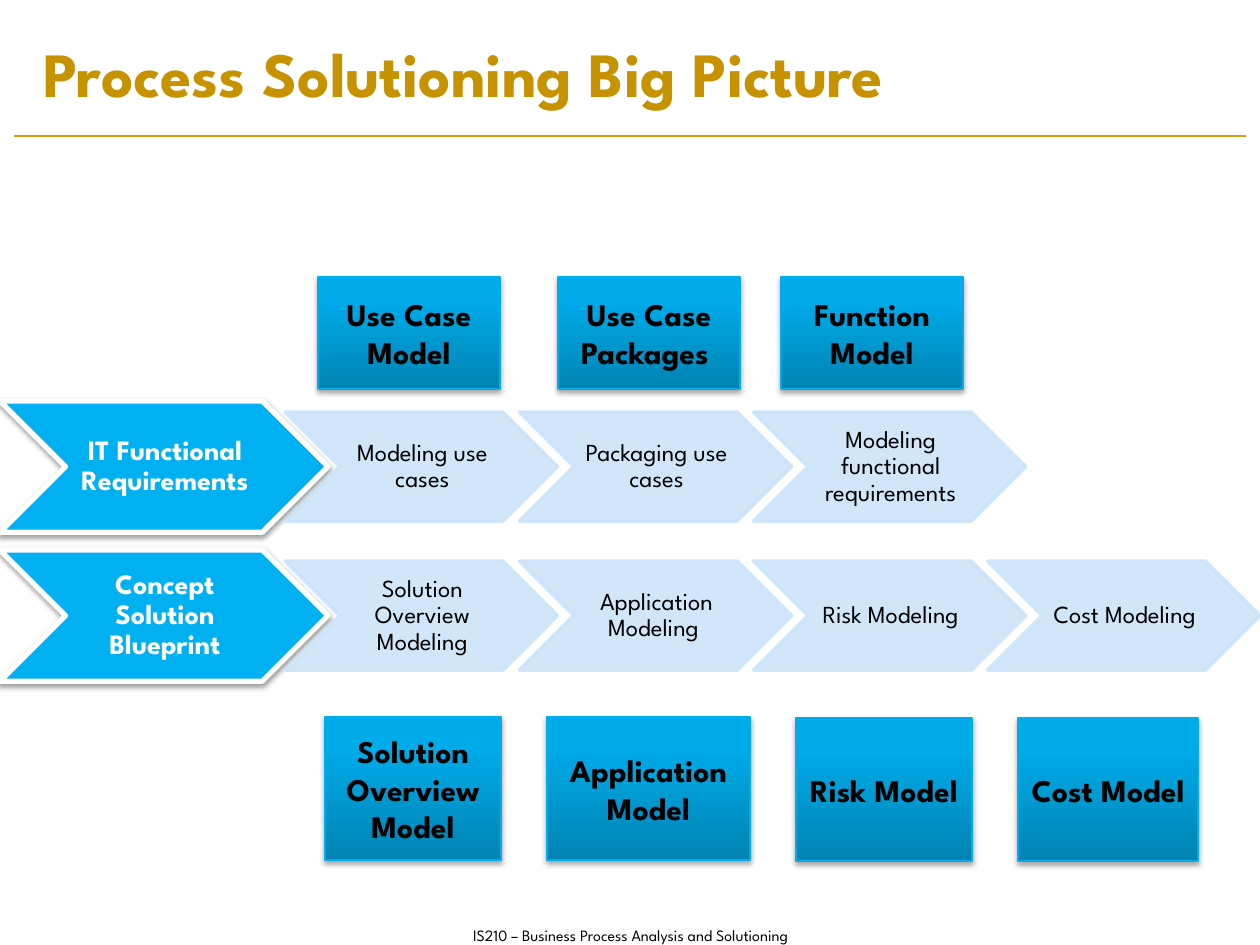
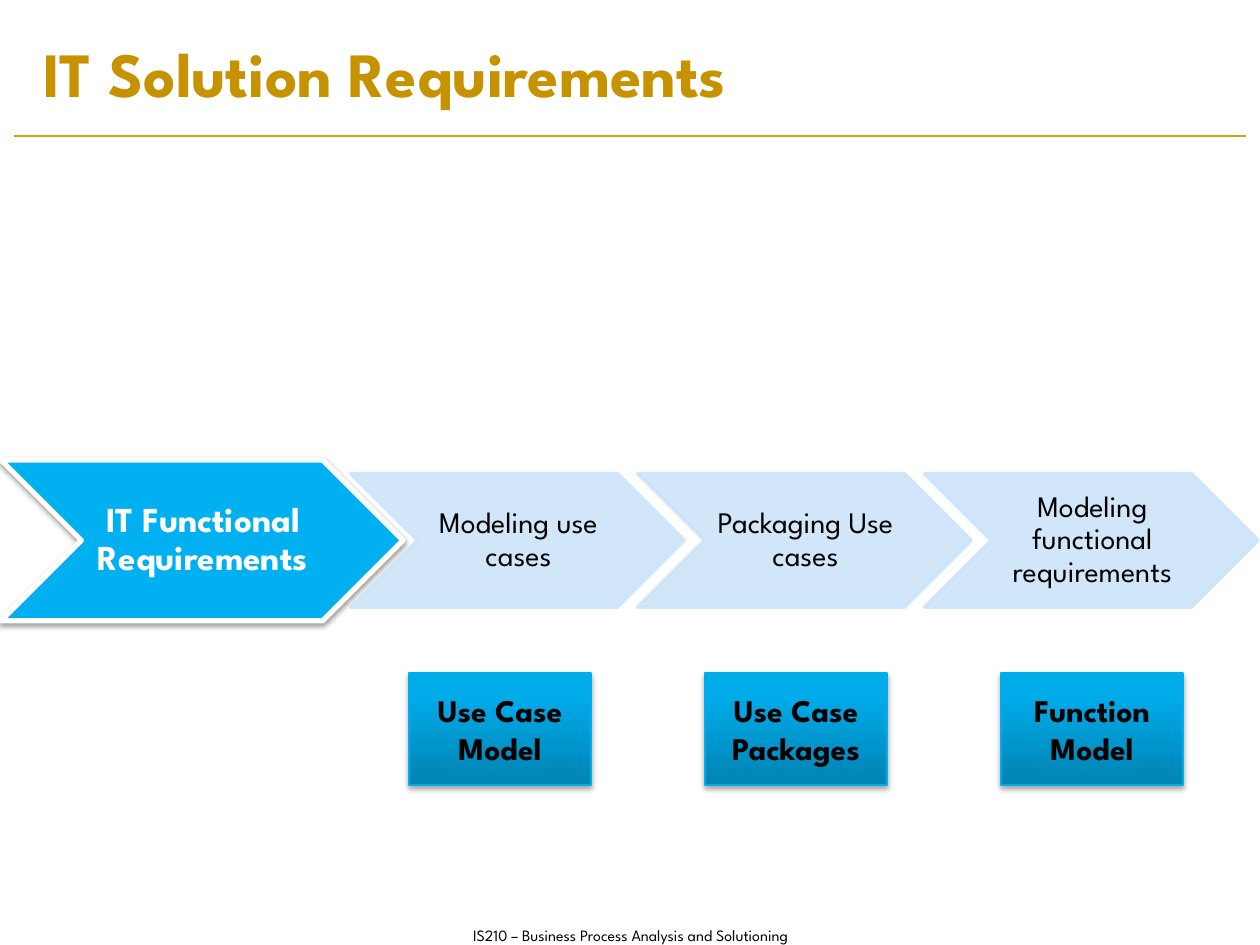
from copy import deepcopy

from lxml import etree
from pptx import Presentation
from pptx import util as u
from pptx.dml.color import RGBColor
from pptx.enum import shapes, text
from pptx.oxml.ns import qn

PX = 914400 / 126
FONT = "League Spartan"
FOOTER = "IS210 – Business Process Analysis and Solutioning"

BLACK = RGBColor(0x00, 0x00, 0x00)
WHITE = RGBColor(0xFF, 0xFF, 0xFF)
GOLD = RGBColor(0xC6, 0x92, 0x00)
RULE_GOLD = RGBColor(0xD5, 0x9F, 0x0F)
LEAD_BLUE = RGBColor(0x00, 0xB0, 0xF0)
STAGE_BLUE = RGBColor(0xCC, 0xE4, 0xF9)
MODEL_EDGE = RGBColor(0x00, 0xAC, 0xEB)
MODEL_STOPS = [
    (0, RGBColor(0x00, 0x83, 0xB3)),
    (0.8, RGBColor(0x00, 0xAB, 0xE9)),
    (1, RGBColor(0x00, 0xAB, 0xEA)),
]

# Proportions of a chevron flow
LEAD_RATIO = 0.4      # height to width
STAGE_SCALE = 0.83    # stage size to lead size
LEAD_OVERLAP = 0.13   # of the lead's width
STAGE_OVERLAP = 0.14  # of a stage's width


def px(*lengths):
    return [u.Emu(round(length * PX)) for length in lengths]


def write(frame, words, size, color, bold=False, align=text.PP_ALIGN.CENTER,
          anchor=text.MSO_ANCHOR.MIDDLE):
    frame.word_wrap = True
    frame.vertical_anchor = anchor
    paragraph = frame.paragraphs[0]
    paragraph.text = words
    paragraph.alignment = align
    font = paragraph.font
    font.name, font.size, font.bold = FONT, u.Pt(size), bold
    font.color.rgb = color
    return paragraph


def outline(shape, color, width):
    shape.line.color.rgb = color
    shape.line.width = u.Pt(width)


def add_shadow(shape, distance, opacity):
    effects = etree.SubElement(shape._element.spPr, qn("a:effectLst"))
    shadow = etree.SubElement(effects, qn("a:outerShdw"), blurRad="40000",
                              dist=str(distance), dir="5400000", rotWithShape="0")
    black = etree.SubElement(shadow, qn("a:srgbClr"), val="000000")
    etree.SubElement(black, qn("a:alpha"), val=str(opacity * 1000))


def add_frame(slide, heading):
    """Gold rule, footer and heading shared by every slide."""
    rule = slide.shapes.add_connector(shapes.MSO_CONNECTOR.STRAIGHT,
                                      *px(14, 136, 1246, 136))
    outline(rule, RULE_GOLD, 0.75)
    etree.SubElement(rule._element.spPr, qn("a:effectLst"))

    footer = slide.shapes.add_textbox(*px(207, 920, 847, 31))
    write(footer.text_frame, FOOTER, 9, BLACK, anchor=text.MSO_ANCHOR.TOP)

    title = slide.shapes.add_textbox(*px(31, 28, 944, 89))
    write(title.text_frame, heading, 36, GOLD, True, text.PP_ALIGN.LEFT)


def add_chevron(slide, box, words, size, color, fill, bold=False):
    chevron = slide.shapes.add_shape(shapes.MSO_SHAPE.CHEVRON, *px(*box))
    chevron.shadow.inherit = False
    chevron.fill.solid()
    chevron.fill.fore_color.rgb = fill
    frame = chevron.text_frame
    frame.margin_left, frame.margin_top, frame.margin_right, frame.margin_bottom = px(2, 1, 0, 1)
    write(frame, words, size, color, bold).line_spacing = 0.9
    return chevron


def add_lead(slide, box, words, size):
    lead = add_chevron(slide, box, words, size, WHITE, LEAD_BLUE, True)
    outline(lead, WHITE, 3)
    lead._element.spPr.remove(lead._element.spPr.find(qn("a:effectLst")))
    add_shadow(lead, 20000, 38)


def add_stage(slide, box, words, size):
    stage = add_chevron(slide, box, words, size, BLACK, STAGE_BLUE)
    outline(stage, STAGE_BLUE, 2)
    for color in stage._element.spPr.iter(qn("a:srgbClr")):
        etree.SubElement(color, qn("a:alpha"), val="90000")


def add_flow(slide, left, top, width, sizes, lead, stages):
    """A lead chevron followed by smaller, evenly overlapping stages."""
    lead_size, stage_size = sizes
    height = width * LEAD_RATIO
    add_lead(slide, (left, top, width, height), lead, lead_size)

    stage_width, stage_height = width * STAGE_SCALE, height * STAGE_SCALE
    stage_top = top + (height - stage_height) / 2
    first = left + width * (1 - LEAD_OVERLAP)
    pitch = stage_width * (1 - STAGE_OVERLAP)
    for i, stage in enumerate(stages):
        add_stage(slide, (first + i * pitch, stage_top, stage_width, stage_height),
                  stage, stage_size)


def add_model(slide, words, left, top, width=182, height=112):
    model = slide.shapes.add_shape(shapes.MSO_SHAPE.RECTANGLE,
                                   *px(left, top, width, height))
    model.fill.gradient()
    model.fill.gradient_angle = 90
    stop_list = model._element.spPr.find(qn("a:gradFill")).find(qn("a:gsLst"))
    stop_list.append(deepcopy(stop_list[0]))
    for stop, (position, color) in zip(model.fill.gradient_stops, MODEL_STOPS):
        stop.position = position
        stop.color.rgb = color
    outline(model, MODEL_EDGE, 0.75)
    add_shadow(model, 23000, 35)
    write(model.text_frame, words, 18, BLACK, True)


def build_big_picture(slide):
    add_frame(slide, "Process Solutioning Big Picture")
    add_flow(slide, 0, 401, 328, (16, 14), "IT Functional Requirements",
             ["Modeling use cases", "Packaging use cases",
              "Modeling functional requirements"])
    add_flow(slide, 0, 550, 328, (16, 14), "Concept Solution Blueprint",
             ["Solution Overview Modeling", "Application Modeling ",
              "Risk Modeling", "Cost Modeling"])

    # Models above the requirements flow
    for words, left in [("Use Case Model", 318), ("Use Case Packages ", 558),
                        ("Function Model", 781)]:
        add_model(slide, words, left, 277)

    # Models below the blueprint flow
    for words, left, top, width in [("Solution Overview Model", 325, 717, 176),
                                    ("Application Model", 547, 717, 203),
                                    ("Risk Model", 796, 718, 176),
                                    ("Cost Model", 1018, 718, 180)]:
        add_model(slide, words, left, top, width, 143)


def build_requirements(slide):
    add_frame(slide, "IT Solution Requirements")
    add_flow(slide, 1, 460, 402, (20, 17), "IT Functional Requirements",
             ["Modeling use cases", "Packaging Use cases",
              "Modeling functional requirements"])
    for i, words in enumerate(["Use Case Model", "Use Case Packages",
                               "Function Model"]):
        add_model(slide, words, 409 + i * 296, 673)


def main():
    deck = Presentation()
    deck.slide_width, deck.slide_height = px(1260, 945)
    blank = deck.slide_layouts[6]
    for build in (build_big_picture, build_requirements):
        build(deck.slides.add_slide(blank))
    deck.save("out.pptx")


if __name__ == "__main__":
    main()
